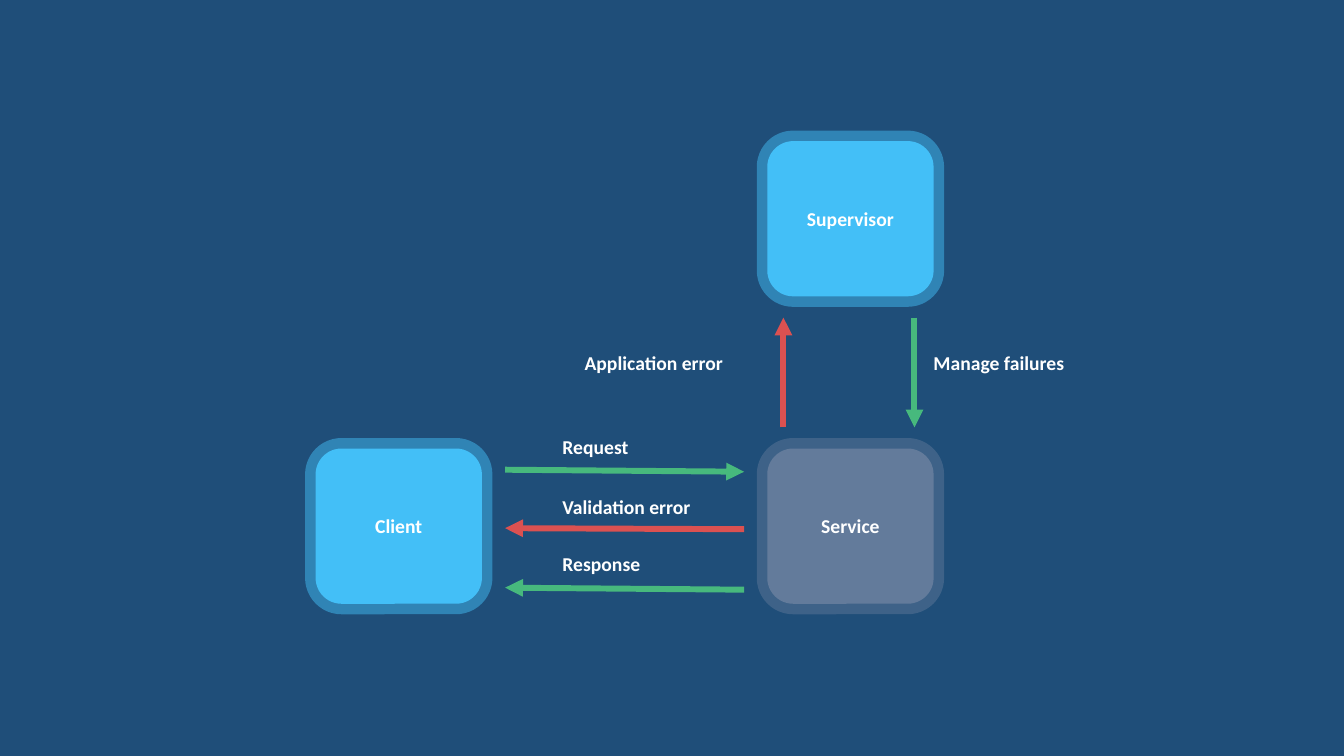
from lxml import etree
from pptx import Presentation
from pptx.dml.color import RGBColor
from pptx.enum.shapes import MSO_CONNECTOR, MSO_SHAPE
from pptx.enum.text import MSO_ANCHOR, MSO_AUTO_SIZE, PP_ALIGN
from pptx.oxml.ns import qn
from pptx.util import Inches, Pt

ROUNDED = MSO_SHAPE.ROUNDED_RECTANGLE
STRAIGHT = MSO_CONNECTOR.STRAIGHT
MIDDLE = MSO_ANCHOR.MIDDLE
CENTER, LEFT = PP_ALIGN.CENTER, PP_ALIGN.LEFT
FIT_SHAPE = MSO_AUTO_SIZE.SHAPE_TO_FIT_TEXT

THEME = {
    "background": "1F4E79",
    "actor": "43BFF7",
    "service": "637B9B",
    "success": "47B97D",
    "error": "DB5151",
    "text": "FFFFFF",
    "font": "Calibri",
    "text_size": 14,
    "border_width": 15,
    "arrow_width": 4.25,
}

NODE_SIZE = (1.65, 1.54)
NODES = [
    ("Service", 7.61, 4.45, "service", 46),
    ("Supervisor", 7.61, 1.4, "actor", 48),
    ("Client", 3.13, 4.45, "actor", 48),
]

CLIENT_END, SERVICE_END = 5.01, 7.38
SUPERVISOR_END, SERVICE_TOP_END = 3.15, 4.24
MESSAGE_LEFT, FAILURE_TOP, LABEL_HEIGHT = 5.48, 3.43, 0.34
MESSAGES = [
    ("Request", "success", (CLIENT_END, 4.66), (SERVICE_END, 4.68), (MESSAGE_LEFT, 4.27), 0.92),
    ("Validation error", "error", (SERVICE_END, 5.25), (CLIENT_END, 5.24), (MESSAGE_LEFT, 4.86), 1.56),
    ("Response", "success", (SERVICE_END, 5.85), (CLIENT_END, 5.83), (MESSAGE_LEFT, 5.43), 1.07),
    ("Application error", "error", (7.77, SERVICE_TOP_END), (7.77, SUPERVISOR_END), (5.7, FAILURE_TOP), 1.66),
    ("Manage failures", "success", (9.07, SUPERVISOR_END), (9.07, SERVICE_TOP_END), (9.16, FAILURE_TOP), 1.62),
]


def color(name):
    return RGBColor.from_string(THEME[name])


def write_text(shape, text, alignment):
    paragraph = shape.text_frame.paragraphs[0]
    paragraph.alignment = alignment
    run = paragraph.add_run()
    run.text = text
    font_format = {"name": THEME["font"], "size": Pt(THEME["text_size"]), "bold": True}
    for attribute, value in font_format.items():
        setattr(run.font, attribute, value)
    run.font.color.rgb = color("text")


def format_line(shape, color_name, width):
    shape.line.color.rgb = color(color_name)
    shape.line.width = Pt(width)
    return shape.element.spPr.find(qn("a:ln"))


def add_node(slide, text, left, top, color_name, border_opacity):
    shape = slide.shapes.add_shape(ROUNDED, *map(Inches, (left, top, *NODE_SIZE)))
    shape.shadow.inherit = False
    shape.fill.solid()
    shape.fill.fore_color.rgb = color(color_name)
    border = format_line(shape, color_name, THEME["border_width"])
    border_color = border.find(".//" + qn("a:srgbClr"))
    etree.SubElement(border_color, qn("a:alpha"), val=str(border_opacity * 1000))
    shape.text_frame.vertical_anchor = MIDDLE
    write_text(shape, text, CENTER)


def add_arrow(slide, start, end, color_name):
    arrow = slide.shapes.add_connector(STRAIGHT, *map(Inches, (*start, *end)))
    line = format_line(arrow, color_name, THEME["arrow_width"])
    etree.SubElement(line, qn("a:tailEnd"), type="triangle")
    etree.SubElement(arrow.element.spPr, qn("a:effectLst"))


def add_label(slide, text, position, width):
    label = slide.shapes.add_textbox(*map(Inches, (*position, width, LABEL_HEIGHT)))
    frame_format = {"word_wrap": False, "auto_size": FIT_SHAPE}
    for attribute, value in frame_format.items():
        setattr(label.text_frame, attribute, value)
    write_text(label, text, LEFT)


def main():
    presentation = Presentation()
    presentation.slide_width = Inches(13.33)
    presentation.slide_height = Inches(7.5)
    slide = presentation.slides.add_slide(presentation.slide_layouts[6])
    slide.background.fill.solid()
    slide.background.fill.fore_color.rgb = color("background")
    for node in NODES:
        add_node(slide, *node)
    for text, color_name, start, end, position, width in MESSAGES:
        add_arrow(slide, start, end, color_name)
        add_label(slide, text, position, width)
    presentation.save("out.pptx")


if __name__ == "__main__":
    main()
